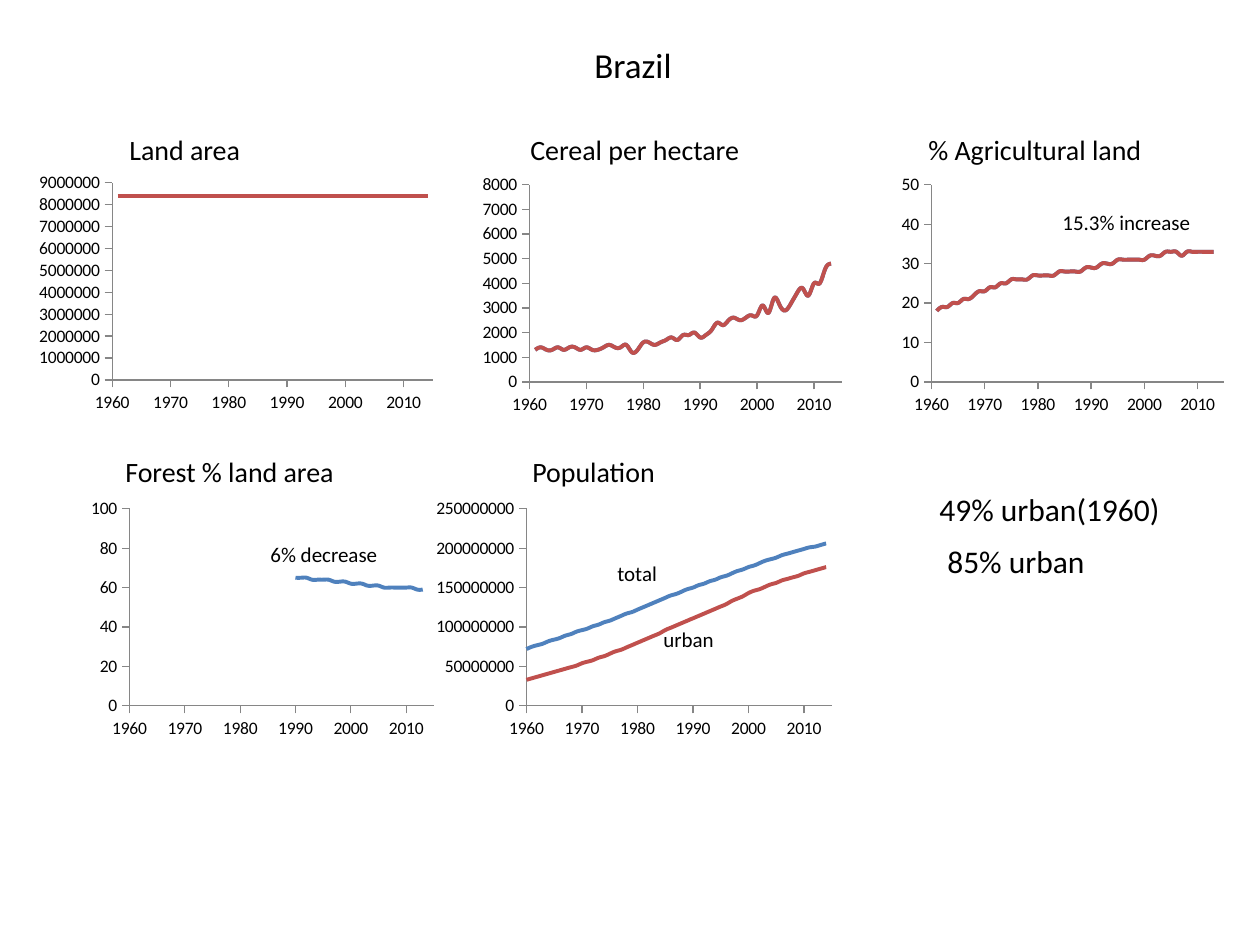
"""Build a slide of small line charts on land, farming and population in Brazil."""
from pptx import Presentation
from pptx import util as u
from pptx.chart.data import XyChartData
from pptx.dml.color import RGBColor
from pptx.enum import chart as ch, text

SCALE = 914400 / 126
FONT = "Calibri"
COLORS = {"text": "000000", "axis": "868686", "first": "4F81BD", "second": "C0504D"}
YEARS = range(1960, 2015)

LAND = [8400000] * 54
CEREAL = [100 * v for v in (
    13, 14, 13, 13, 14, 13, 14, 14, 13, 14, 13, 13, 14, 15, 14, 14, 15, 12, 13,
    16, 16, 15, 16, 17, 18, 17, 19, 19, 20, 18, 19, 21, 24, 23, 25, 26, 25, 26,
    27, 27, 31, 28, 34, 31, 29, 32, 36, 38, 35, 40, 40, 46, 48)]
FARMLAND = [
    18, 19, 19, 20, 20, 21, 21, 22, 23, 23, 24, 24, 25, 25, 26, 26, 26, 26, 27,
    27, 27, 27, 27, 28, 28, 28, 28, 28, 29, 29, 29, 30, 30, 30, 31, 31, 31, 31,
    31, 31, 32, 32, 32, 33, 33, 33, 32, 33, 33, 33, 33, 33, 33]
FOREST = [65, 65, 65, 64, 64, 64, 64, 63, 63, 63, 62, 62, 62, 61, 61, 61,
          60, 60, 60, 60, 60, 60, 59, 59]
TOTAL = [1000000 * v for v in (
    72, 75, 77, 79, 82, 84, 86, 89, 91, 94, 96, 98, 101, 103, 106, 108, 111, 114,
    117, 119, 122, 125, 128, 131, 134, 137, 140, 142, 145, 148, 150, 153, 155,
    158, 160, 163, 165, 168, 171, 173, 176, 178, 181, 184, 186, 188, 191, 193,
    195, 197, 199, 201, 202, 204, 206)]
URBAN = [1000000 * v for v in (
    33, 35, 37, 39, 41, 43, 45, 47, 49, 51, 54, 56, 58, 61, 63, 66, 69, 71, 74,
    77, 80, 83, 86, 89, 92, 96, 99, 102, 105, 108, 111, 114, 117, 120, 123, 126,
    129, 133, 136, 139, 143, 146, 148, 151, 154, 156, 159, 161, 163, 165, 168,
    170, 172, 174, 176)]

CHARTS = [
    ((428, 494, 412, 249), 1960, [TOTAL, URBAN], None),
    ((31, 168, 410, 249), 1961, [LAND, LAND], None),
    ((475, 170, 375, 249), 1961, [CEREAL, CEREAL], 8000),
    ((895, 170, 336, 249), 1961, [FARMLAND, FARMLAND], 50),
    ((84, 494, 357, 249), 1990, [FOREST], 100),
]
LABELS = [
    ("Land area", 16, (117, 126, 137, 47)),
    ("Cereal per hectare", 16, (518, 126, 237, 47)),
    ("% Agricultural land", 16, (916, 126, 241, 47)),
    ("Forest % land area", 16, (113, 448, 237, 47)),
    ("Population", 16, (520, 448, 150, 47)),
    ("total", 12, (605, 554, 66, 38)),
    ("urban", 12, (651, 620, 76, 38)),
    ("Brazil", 20, (582, 37, 103, 55)),
    ("6% decrease", 12, (258, 535, 134, 38)),
    ("15.3% increase", 12, (1050, 203, 155, 38)),
    ("85% urban", 18, (935, 536, 164, 50)),
    ("49% urban(1960)", 18, (927, 484, 248, 89)),
]


def px(n):
    """Turn pixels into EMU."""
    return u.Emu(round(n * SCALE))


def rgb(name):
    """Look up a named colour."""
    return RGBColor.from_string(COLORS[name])


def style_axis(axis):
    """Give an axis a thin grey line and outer ticks, without gridlines."""
    axis.has_major_gridlines = False
    axis.major_tick_mark = ch.XL_TICK_MARK.OUTSIDE
    axis.minor_tick_mark = ch.XL_TICK_MARK.NONE
    axis.format.line.color.rgb = rgb("axis")
    axis.format.line.width = u.Pt(0.75)


def style_series(line, color):
    """Make a series a smooth coloured line with gaps for missing years."""
    line.marker.style = ch.XL_MARKER_STYLE.NONE
    line.format.line.color.rgb = rgb(color)
    line.format.line.width = u.Pt(2.25)
    ser = line._element
    ser.get_or_add_smooth().val = True
    for pt in ser.xpath('.//c:pt[c:v="None" or c:v=""]'):
        pt.getparent().remove(pt)


def add_line_chart(s, box, start, series, top):
    """Add a smooth chart of yearly values from the start year on."""
    data = XyChartData()
    for number, values in enumerate(series, 1):
        points = data.add_series(f"Series {number}")
        known = dict(enumerate(values, start))
        for year in YEARS:
            points.add_data_point(year, known.get(year))
    chart = s.shapes.add_chart(
        ch.XL_CHART_TYPE.XY_SCATTER_SMOOTH_NO_MARKERS, *map(px, box), data).chart
    chart.has_legend = chart.has_title = False
    chart.font.name, chart.font.size = FONT, u.Pt(10)
    chart.font.color.rgb = rgb("text")
    chart.plots[0].vary_by_categories = False
    years, amounts = chart.category_axis, chart.value_axis
    style_axis(years)
    style_axis(amounts)
    years.minimum_scale, years.maximum_scale, years.major_unit = 1960, 2015, 10
    amounts.minimum_scale = 0
    if top:
        amounts.maximum_scale = top
    lines = list(chart.plots[0].series)
    for line, color in zip(lines, ("first", "second")):
        style_series(line, color)
    if len(lines) == 2:
        lines[0]._element.addprevious(lines[1]._element)


def add_label(s, words, size, box):
    """Add a one-line text box."""
    tf = s.shapes.add_textbox(*map(px, box)).text_frame
    tf.word_wrap = False
    tf.auto_size = text.MSO_AUTO_SIZE.SHAPE_TO_FIT_TEXT
    r = tf.paragraphs[0].add_run()
    r.text = words
    r.font.name, r.font.size = FONT, u.Pt(size)
    r.font.color.rgb = rgb("text")


def main():
    """Build and save the slide."""
    prs = Presentation()
    prs.slide_width, prs.slide_height = px(1260), px(945)
    s = prs.slides.add_slide(prs.slide_layouts[6])
    for chart in CHARTS:
        add_line_chart(s, *chart)
    for label in LABELS:
        add_label(s, *label)
    prs.save("out.pptx")


if __name__ == "__main__":
    main()
